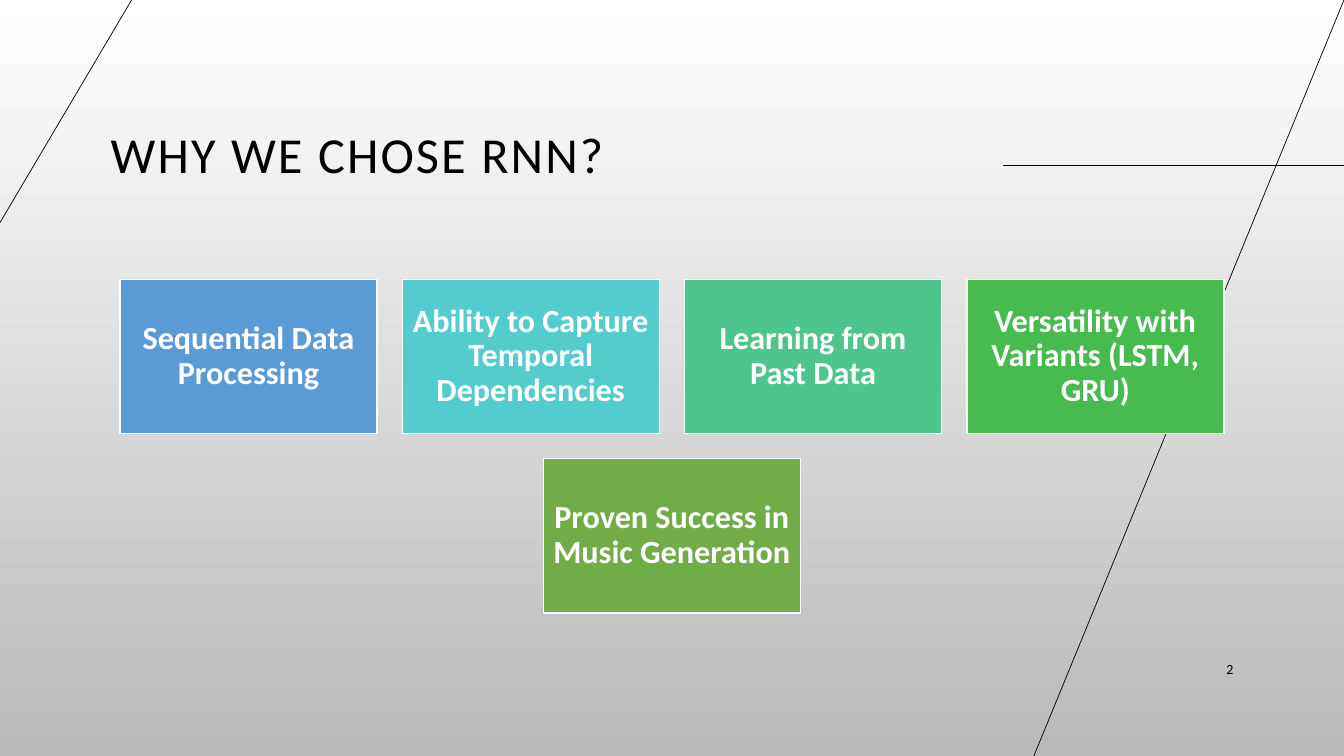
from dataclasses import dataclass

from lxml import etree
from pptx import Presentation
from pptx import util as u
from pptx.dml.color import RGBColor
from pptx.enum import shapes, text
from pptx.oxml.ns import qn

Pt = u.Pt


@dataclass(frozen=True)
class Theme:
    """Colours, typeface and type sizes of the slide."""
    font: str = "Calibri"
    ink: str = "000000"
    paper: str = "FFFFFF"
    shade: str = "B9B9B9"
    title: float = 36
    card: float = 23
    number: float = 10


THEME = Theme()
REASONS = [
    [("Sequential Data Processing", "5B9BD5"),
     ("Ability to Capture Temporal Dependencies", "54CCCD"),
     ("Learning from Past Data", "4DC58D"),
     ("Versatility with Variants (LSTM, GRU)", "48BB4F")],
    [("Proven Success in Music Generation", "70AD47")],
]
RULES = [
    (716.5, 118, 960, 118),
    (960, 0, 738.5, 540),
    (0, 159, 94, 0),
]
CARD_WIDTH, CARD_HEIGHT, CARD_GAP = 183.6, 110.2, 18
CARDS_CENTRE, CARDS_TOP = 480, 199.5


def colour(value):
    """Turn a hex string into a colour."""
    return RGBColor.from_string(value)


def write(shape, words, size, color=THEME.ink, bold=False,
          align=text.PP_ALIGN.LEFT, line_spacing=1.0, tracking=0, inset=None):
    """Put one formatted paragraph, centred vertically, into a shape."""
    frame = shape.text_frame
    frame.word_wrap = True
    frame.vertical_anchor = text.MSO_ANCHOR.MIDDLE
    if inset is not None:
        frame.margin_left = frame.margin_right = Pt(inset)
        frame.margin_top = frame.margin_bottom = Pt(inset)
    paragraph = frame.paragraphs[0]
    paragraph.alignment = align
    paragraph.line_spacing = line_spacing
    run = paragraph.add_run()
    run.text = words
    run.font.name = THEME.font
    run.font.size = Pt(size)
    run.font.bold = bold
    run.font.color.rgb = colour(color)
    if tracking:
        run.font._element.set("spc", str(int(tracking * 100)))


def add_label(slide, words, left, top, width, height, **style):
    """Add a text box."""
    box = slide.shapes.add_textbox(Pt(left), Pt(top), Pt(width), Pt(height))
    write(box, words, **style)


def add_rule(slide, *ends):
    """Add a thin straight line."""
    rule = slide.shapes.add_connector(
        shapes.MSO_CONNECTOR.STRAIGHT, *(Pt(end) for end in ends))
    rule.line.color.rgb = colour(THEME.ink)
    rule.line.width = Pt(0.5)
    etree.SubElement(rule._element.spPr, qn("a:effectLst"))


def add_card(slide, words, fill, left, top):
    """Add a filled rectangle holding one reason."""
    card = slide.shapes.add_shape(
        shapes.MSO_SHAPE.RECTANGLE,
        Pt(left), Pt(top), Pt(CARD_WIDTH), Pt(CARD_HEIGHT))
    card.shadow.inherit = False
    card.fill.solid()
    card.fill.fore_color.rgb = colour(fill)
    card.line.color.rgb = colour(THEME.paper)
    card.line.width = Pt(1)
    write(card, words, THEME.card, color=THEME.paper, bold=True,
          align=text.PP_ALIGN.CENTER, line_spacing=0.9, inset=7)


def add_cards(slide):
    """Lay out the reasons in rows centred on the slide."""
    step = CARD_WIDTH + CARD_GAP
    for row, reasons in enumerate(REASONS):
        left = CARDS_CENTRE - (len(reasons) * step - CARD_GAP) / 2
        top = CARDS_TOP + row * (CARD_HEIGHT + CARD_GAP)
        for column, (words, fill) in enumerate(reasons):
            add_card(slide, words, fill, left + column * step, top)


def paint_background(slide):
    """Fill the background from light at the top to grey at the bottom."""
    fill = slide.background.fill
    fill.gradient()
    fill.gradient_angle = 270
    for stop, value in zip(fill.gradient_stops, (THEME.paper, THEME.shade)):
        stop.color.rgb = colour(value)


def main():
    """Build and save the slide."""
    presentation = Presentation()
    presentation.slide_width, presentation.slide_height = Pt(960), Pt(540)
    slide = presentation.slides.add_slide(presentation.slide_layouts[6])
    paint_background(slide)
    for ends in RULES:
        add_rule(slide, *ends)
    add_label(slide, "WHY WE CHOSE RNN?", 72, 49, 816, 126,
              size=THEME.title, line_spacing=0.9, tracking=1.5)
    add_label(slide, "2", 828, 463, 60, 29,
              size=THEME.number, align=text.PP_ALIGN.RIGHT)
    add_cards(slide)
    presentation.save("out.pptx")


if __name__ == "__main__":
    main()
